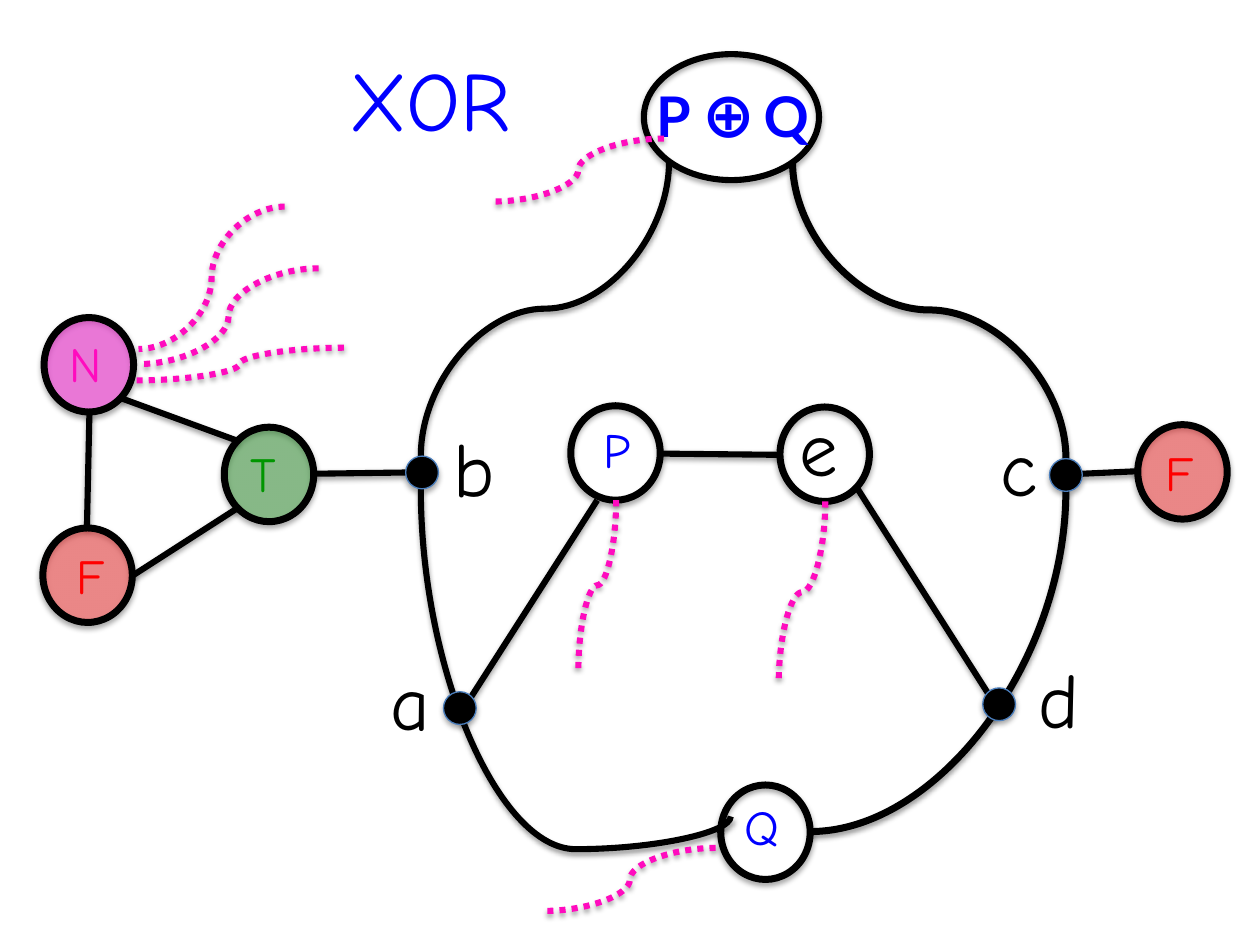
from lxml.etree import SubElement
from pptx import Presentation
from pptx.dml.color import RGBColor
from pptx.enum.dml import MSO_LINE
from pptx.enum.shapes import MSO_CONNECTOR, MSO_SHAPE
from pptx.enum.text import MSO_ANCHOR, MSO_AUTO_SIZE, PP_ALIGN
from pptx.oxml.ns import qn
from pptx.util import Inches, Pt

BLACK, BLUE, PINK, RED = "000000", "0000FF", "FF0BBE", "FF0000"
NODE_W, NODE_H, DOT = 0.71, 0.75, 0.26

LINES = [
    (0.69, 4.19, 0.71, 3.27),
    (1.05, 4.57, 1.89, 4.03),
    (0.96, 3.16, 1.89, 3.5),
    (5.24, 3.6, 6.19, 3.61),
    (4.74, 3.97, 3.74, 5.53),
    (2.49, 3.76, 3.22, 3.75),
    (6.8, 3.87, 7.84, 5.5),
    (8.59, 3.76, 9.03, 3.74),
]
ARCS = [
    (5.31, 1.28, 3.34, 3.62, 3.5, 0.5),
    (3.34, 3.88, 5.8, 6.48, 3.5, 1.1),
    (6.29, 1.28, 8.46, 3.64, 4, 0.5),
]
CORNER = (6.43, 6.6, 8.46, 3.89)
SIDE_TAILS = [
    (2.53, 2.13, 1.1, 2.89),
    (2.26, 1.64, 1.1, 2.77),
    (2.73, 2.76, 1.07, 3.02),
    (5.68, 6.73, 4.32, 7.23),
    (5.27, 1.1, 3.91, 1.6),
]
DOWN_TAILS = [(4.89, 3.97, 4.59, 5.32), (6.55, 3.98, 6.18, 5.42)]
NODES = [
    (0.35, 2.52, "FF04D6", 45),
    (0.34, 4.19, RED, 39),
    (1.78, 3.39, "008000", 39),
    (9.03, 3.37, RED, 39),
    (4.53, 3.22, None, 0),
    (6.19, 3.23, None, 0),
    (5.72, 6.23, None, 0),
]
DOTS = [(3.22, 3.62), (7.8, 5.46), (3.52, 5.49), (8.33, 3.64)]
LABELS = [
    ("N", 0.45, 2.6, 0.51, 28, PINK),
    ("F", 0.51, 4.28, 0.44, 28, RED),
    ("T", 1.89, 3.47, 0.48, 28, "009600"),
    ("F", 9.15, 3.46, 0.44, 28, RED),
    ("P", 4.69, 3.28, 0.41, 28, BLUE),
    ("Q", 5.81, 6.27, 0.55, 28, BLUE),
    ("b", 3.5, 3.29, 0.57, 44, BLACK),
    ("a", 3, 5.14, 0.52, 44, BLACK),
    ("c", 7.84, 3.28, 0.52, 44, BLACK),
    ("d", 8.14, 5.12, 0.56, 44, BLACK),
    ("e", 6.25, 3.12, 0.54, 44, BLACK),
]
RESULT = [("P ", 32), ("⊕", 36), (" ", 32), ("Q", 32)]


def tint(hue):
    return RGBColor.from_string(hue)


def stroke(item, hue, size):
    item.line.color.rgb = tint(hue)
    item.line.width = Pt(size)


def shade(item, alpha, gap):
    props = item._element.spPr
    effects = SubElement(props, qn("a:effectLst"))
    drop = SubElement(effects, qn("a:outerShdw"), blurRad="40000",
                      dist=str(gap), dir="5400000", rotWithShape="0")
    hue = SubElement(drop, qn("a:srgbClr"), val=BLACK)
    SubElement(hue, qn("a:alpha"), val=str(alpha * 1000))


def link(ends, kind, hue=BLACK, size=3.5):
    line = slide.shapes.add_connector(kind, *map(Inches, ends))
    stroke(line, hue, size)
    if hue == PINK:
        line.line.dash_style = MSO_LINE.ROUND_DOT
    shade(line, 38, 20000)
    return line


def bend(line, share):
    guides = line._element.spPr.prstGeom.get_or_add_avLst()
    SubElement(guides, qn("a:gd"), name="adj1", fmla=f"val {round(share * 100000)}")


def drop_curve(ends, hue=BLACK, size=3.5, share=0.5):
    x1, y1, x2, y2 = ends
    midx, midy = (x1 + x2) / 2, (y1 + y2) / 2
    wide, high = abs(y2 - y1) / 2, abs(x2 - x1) / 2
    box = (midx - wide, midy - high, midx + wide, midy + high)
    line = link(box, MSO_CONNECTOR.CURVE, hue, size)
    frame = line._element.spPr.find(qn("a:xfrm"))
    frame.set("rot", "5400000")
    if x2 > x1:
        frame.set("flipV", "1")
    bend(line, share)


def oval(left, top, wide, high, hue=None, alpha=100, edge=BLACK, size=4):
    shape = slide.shapes.add_shape(MSO_SHAPE.OVAL, *map(Inches, (left, top, wide, high)))
    if hue:
        shape.fill.solid()
        shape.fill.fore_color.rgb = tint(hue)
        if alpha < 100:
            paint = shape._element.spPr.find(qn("a:solidFill"))[0]
            SubElement(paint, qn("a:alpha"), val=str(alpha * 1000))
    else:
        shape.fill.background()
    stroke(shape, edge, size)
    shade(shape, 35, 23000)


def style(run, size, hue, face="Comic Neue"):
    run.font.name = face
    run.font.size = Pt(size)
    run.font.color.rgb = tint(hue)


def label(text, left, top, wide, high, size, hue, fixed=False):
    box = slide.shapes.add_textbox(*map(Inches, (left, top, wide, high)))
    frame = box.text_frame
    frame.word_wrap = fixed
    frame.auto_size = MSO_AUTO_SIZE.NONE if fixed else MSO_AUTO_SIZE.SHAPE_TO_FIT_TEXT
    if text:
        frame.text = text
        style(frame.paragraphs[0].runs[0], size, hue)
    return frame


deck = Presentation()
deck.slide_width, deck.slide_height = Inches(10), Inches(7.5)
slide = deck.slides.add_slide(deck.slide_layouts[6])

for ends in LINES:
    link(ends, MSO_CONNECTOR.STRAIGHT)
for *ends, size, share in ARCS:
    drop_curve(ends, BLACK, size, share)
corner = link(CORNER, MSO_CONNECTOR.CURVE, BLACK, 4)
corner._element.spPr.prstGeom.set("prst", "curvedConnector2")

for left, top, hue, alpha in NODES:
    oval(left, top, NODE_W, NODE_H, hue, alpha)
for left, top in DOTS:
    oval(left, top, DOT, DOT, BLACK, 100, "4B7EBC", 0.75)
oval(5.11, 0.43, 1.39, 1, size=3.5)

for text, left, top, wide, size, hue in LABELS:
    label(text, left, top, wide, 0.57 if size == 28 else 0.84, size, hue)

result = label("", 5.11, 0.54, 1.6, 0.71, 32, BLUE, True)
for text, size in RESULT:
    run = result.paragraphs[0].add_run()
    run.text = text
    style(run, size, BLUE, "Lato")
    run.font.bold = True
    if text == " ":
        run.font._element.set("baseline", "-25000")

title = label("XOR", 2.09, 0.19, 2.65, 1.17, 48, BLUE, True)
title.vertical_anchor = MSO_ANCHOR.MIDDLE
title.paragraphs[0].alignment = PP_ALIGN.CENTER

for ends in SIDE_TAILS:
    bend(link(ends, MSO_CONNECTOR.CURVE, PINK), 0.5)
for ends in DOWN_TAILS:
    drop_curve(ends, PINK)

deck.save("out.pptx")
